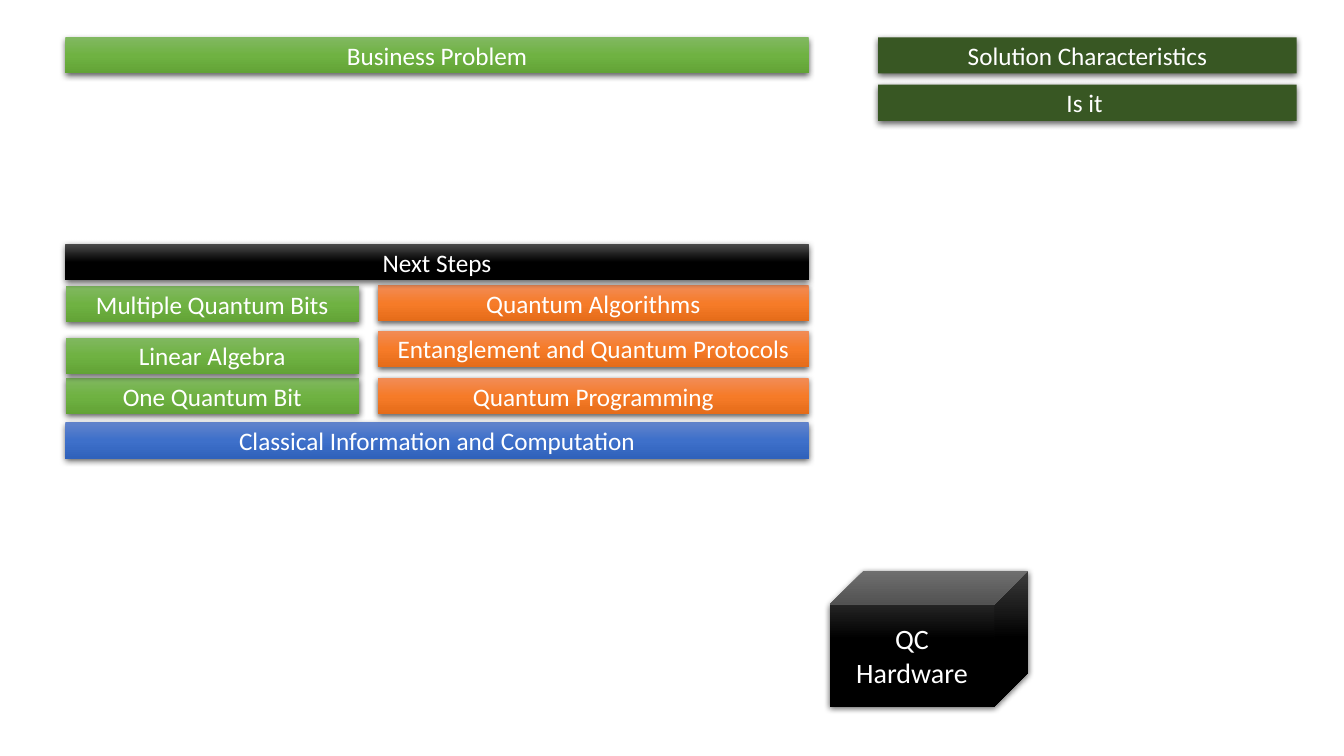
from lxml.etree import SubElement
from pptx import Presentation
from pptx.dml.color import RGBColor
from pptx.enum.shapes import MSO_SHAPE
from pptx.enum.text import MSO_ANCHOR, PP_ALIGN
from pptx.oxml.ns import qn
from pptx.util import Inches, Pt

SLIDE_WIDTH, SLIDE_HEIGHT = 13.33, 7.5
BAR_HEIGHT = 0.36

# Columns of the grid: left edge and width in inches
COLUMNS = {
    "full": (0.65, 7.37),
    "foundations": (0.65, 2.91),
    "applications": (3.75, 4.27),
    "solution": (8.71, 4.15),
}

# Gradient stops from top to bottom, or a single flat colour
BLUE = ("6183CB", "3E70CA", "3062BB")
GREEN = ("81B861", "6FB242", "62A336")
ORANGE = ("F18C57", "F67B28", "E56C19")
BLACK = ("4B4B4B", "000000", "000000")
DARK_GREEN = ("385723",)

# Learning path from bottom to top: text, column, top, colours
LEARNING_PATH = [
    ("Classical Information and Computation", "full", 4.19, BLUE),
    ("One Quantum Bit", "foundations", 3.75, GREEN),
    ("Linear Algebra", "foundations", 3.35, GREEN),
    ("Multiple Quantum Bits", "foundations", 2.84, GREEN),
    ("Quantum Programming", "applications", 3.75, ORANGE),
    ("Entanglement and Quantum Protocols", "applications", 3.28, ORANGE),
    ("Quantum Algorithms", "applications", 2.83, ORANGE),
    ("Next Steps", "full", 2.42, BLACK),
]
HEADINGS = [
    ("Business Problem", "full", 0.37, GREEN),
    ("Solution Characteristics", "solution", 0.37, DARK_GREEN),
    ("Is it ", "solution", 0.84, DARK_GREEN),
]


def color(hex_string):
    return RGBColor.from_string(hex_string)


def set_attributes(target, values):
    for name, value in values.items():
        setattr(target, name, value)


def paint(shape, colors):
    """Fill with one flat colour or with evenly spaced vertical stops."""
    shape.fill.solid()
    shape.fill.fore_color.rgb = color(colors[0])
    if len(colors) == 1:
        return
    properties = shape.element.spPr
    solid = properties.find(qn("a:solidFill"))
    gradient = properties.makeelement(qn("a:gradFill"), {"rotWithShape": "1"})
    properties.replace(solid, gradient)
    stops = SubElement(gradient, qn("a:gsLst"))
    for index, stop_color in enumerate(colors):
        position = index * 100000 // (len(colors) - 1)
        stop = SubElement(stops, qn("a:gs"), pos=str(position))
        SubElement(stop, qn("a:srgbClr"), val=str(color(stop_color)))
    SubElement(gradient, qn("a:lin"), ang="5400000", scaled="0")


def add_shadow(shape):
    shape.shadow.inherit = False
    effects = shape.element.spPr.find(qn("a:effectLst"))
    shadow = SubElement(effects, qn("a:outerShdw"), blurRad=str(Pt(4.5)),
                        dist=str(Pt(1.5)), dir="5400000", algn="ctr",
                        rotWithShape="0")
    shadow_color = SubElement(shadow, qn("a:srgbClr"), val="000000")
    SubElement(shadow_color, qn("a:alpha"), val="63000")


def add_block(shapes, kind, box, text, colors, size):
    shape = shapes.add_shape(kind, *(Inches(length) for length in box))
    shape.line.fill.background()
    paint(shape, colors)
    add_shadow(shape)
    frame = shape.text_frame
    set_attributes(frame, {"word_wrap": True,
                           "vertical_anchor": MSO_ANCHOR.MIDDLE})
    paragraph = frame.paragraphs[0]
    set_attributes(paragraph, {"text": text, "alignment": PP_ALIGN.CENTER})
    font = paragraph.runs[0].font
    set_attributes(font, {"name": "Calibri", "size": Pt(size)})
    font.color.rgb = color("FFFFFF")


def add_bars(shapes, bars):
    for text, column, top, colors in bars:
        left, width = COLUMNS[column]
        add_block(shapes, MSO_SHAPE.RECTANGLE,
                  (left, top, width, BAR_HEIGHT), text, colors, 18)


def main():
    presentation = Presentation()
    set_attributes(presentation, {"slide_width": Inches(SLIDE_WIDTH),
                                  "slide_height": Inches(SLIDE_HEIGHT)})
    slide = presentation.slides.add_slide(presentation.slide_layouts[6])

    # Learning path, kept together as a group
    add_bars(slide.shapes.add_group_shape().shapes, LEARNING_PATH)

    # Hardware cube
    add_block(slide.shapes, MSO_SHAPE.CUBE, (8.23, 5.66, 1.97, 1.35),
              "QC Hardware", BLACK, 20)

    # Headings along the top
    add_bars(slide.shapes, HEADINGS)

    presentation.save("out.pptx")


main()
